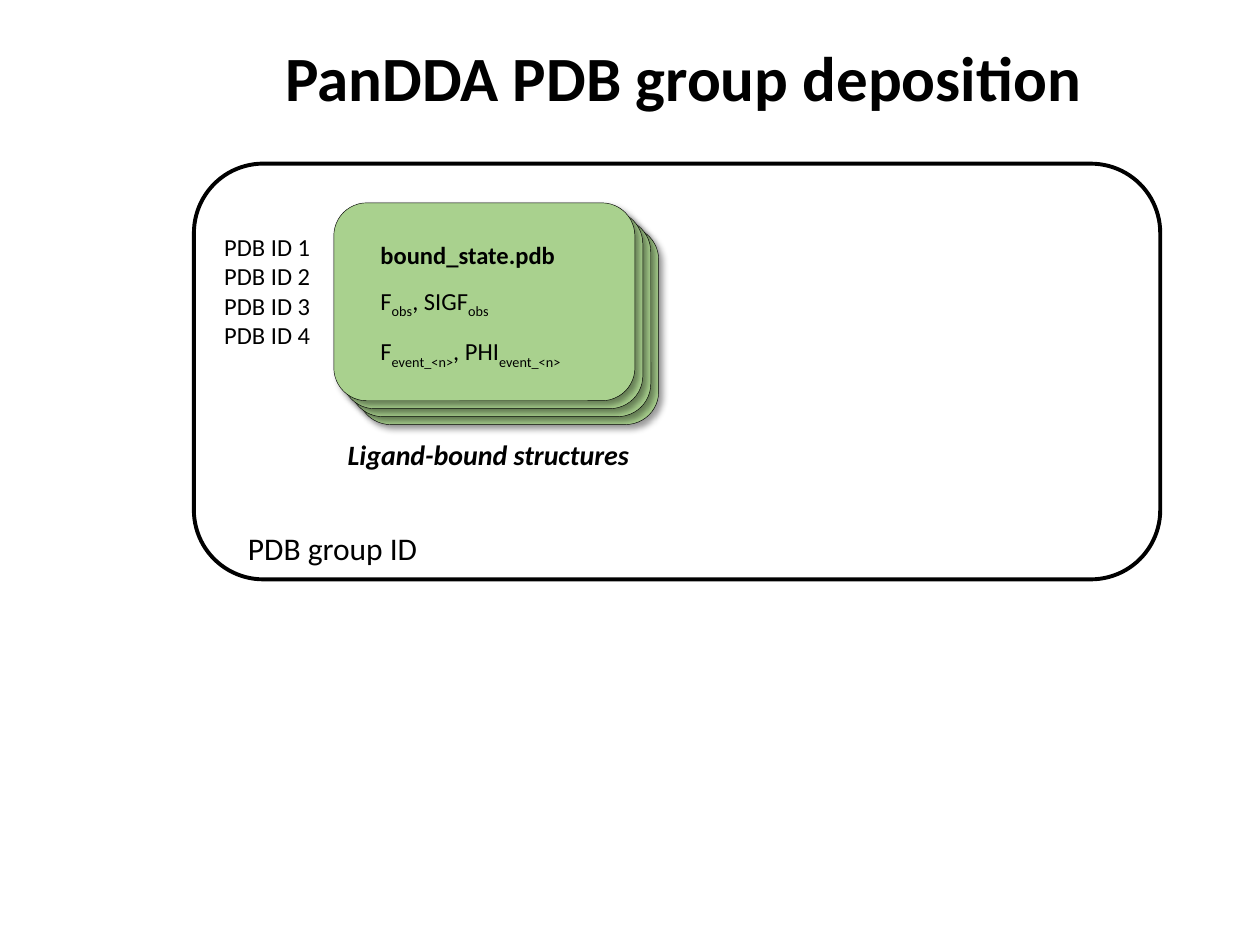
from lxml import etree
from pptx import Presentation
from pptx.dml.color import RGBColor
from pptx.enum.shapes import MSO_SHAPE
from pptx.enum.text import MSO_ANCHOR, PP_ALIGN
from pptx.oxml.ns import qn
from pptx.util import Cm, Pt

ROUNDED = MSO_SHAPE.ROUNDED_RECTANGLE
TOP, MIDDLE = MSO_ANCHOR.TOP, MSO_ANCHOR.MIDDLE
CENTER = PP_ALIGN.CENTER

FONT = "Calibri"
BLACK, GREEN = "000000", "A9D18E"
CARD_COUNT, CARD_STEP = 4, 0.16
CARD_WIDTH, CARD_HEIGHT = 6.07, 3.99

# Each line is a list of (text, is_subscript) pieces
DATA_LINES = [
    [("F", False), ("obs", True), (", SIGF", False), ("obs", True)],
    [("F", False), ("event_<n>", True), (", PHI", False), ("event_<n>", True)],
]


def color(hex_value):
    return RGBColor.from_string(hex_value)


def style(font, size, bold=False, italic=False):
    font.name, font.size = FONT, Pt(size)
    font.bold, font.italic = bold, italic
    font.color.rgb = color(BLACK)


def add_text(shapes, left, top, width, height, text, size, bold=False, italic=False):
    box = shapes.add_textbox(Cm(left), Cm(top), Cm(width), Cm(height))
    frame = box.text_frame
    frame.word_wrap = False
    frame.vertical_anchor = TOP
    frame.text = text
    for para in frame.paragraphs:
        for span in para.runs:
            style(span.font, size, bold, italic)
    return box


def add_rounded(shapes, left, top, width, height, line_width, fill=None):
    box = shapes.add_shape(ROUNDED, Cm(left), Cm(top), Cm(width), Cm(height))
    box.shadow.inherit = False
    if fill:
        box.fill.solid()
        box.fill.fore_color.rgb = color(fill)
    else:
        box.fill.background()
    box.line.color.rgb = color(BLACK)
    box.line.width = Pt(line_width)
    return box


def add_shadow(box):
    effects = box.element.spPr.find(qn("a:effectLst"))
    shadow = etree.SubElement(
        effects, qn("a:outerShdw"), blurRad=str(Pt(4)), dist=str(Pt(3)),
        dir="2700000", algn="tl", rotWithShape="0")
    tint = etree.SubElement(shadow, qn("a:srgbClr"), val=BLACK)
    etree.SubElement(tint, qn("a:alpha"), val="40000")


def place_title(page, left, top, width, height):
    title = page.shapes.title
    title.left, title.top = Cm(left), Cm(top)
    title.width, title.height = Cm(width), Cm(height)
    frame = title.text_frame
    frame.text = "PanDDA PDB group deposition"
    frame.word_wrap = False
    frame.vertical_anchor = MIDDLE
    para = frame.paragraphs[0]
    para.alignment = CENTER
    style(para.runs[0].font, 36, bold=True)


def add_card_stack(page, left, top):
    shapes = page.shapes.add_group_shape().shapes
    # Cards, from the rearmost to the front one
    for depth in reversed(range(CARD_COUNT)):
        shift = depth * CARD_STEP
        card = add_rounded(shapes, left + shift, top + shift,
                           CARD_WIDTH, CARD_HEIGHT, 0.25, GREEN)
        add_shadow(card)

    # File name and data columns on the front card
    box = add_text(shapes, left + 0.69, top + 0.33, 4.52, 2.95,
                   "bound_state.pdb", 14, bold=True)
    for pieces in DATA_LINES:
        para = box.text_frame.add_paragraph()
        for text, is_subscript in pieces:
            span = para.add_run()
            span.text = text
            style(span.font, 14)
            if is_subscript:
                span.font._element.set("baseline", "-25000")
    for para in box.text_frame.paragraphs:
        para.line_spacing = 1.5


def add_group_panel(page, left, top, width, height):
    shapes = page.shapes
    add_rounded(shapes, left, top, width, height, 2.25)
    # Entry identifiers beside the stack
    entry_ids = "\n".join(f"PDB ID {number}" for number in range(1, CARD_COUNT + 1))
    add_text(shapes, left + 0.36, top + 1.25, 2.26, 2.64, entry_ids, 14)
    # Stack with its caption
    add_card_stack(page, left + 2.82, top + 0.79)
    add_text(shapes, left + 2.85, top + 5.39, 6.27, 0.94,
             "Ligand-bound structures", 16, bold=True, italic=True)
    # Label of the whole group
    add_text(shapes, left + 0.84, top + 7.24, 3.96, 1.02, "PDB group ID", 18)


def main():
    deck = Presentation()
    deck.slide_width, deck.slide_height = Cm(25.4), Cm(19.05)
    page = deck.slides.add_slide(deck.slide_layouts[5])
    place_title(page, 5.41, 0.64, 16.74, 1.8)
    add_group_panel(page, 3.91, 3.3, 19.48, 8.38)
    deck.save("out.pptx")


if __name__ == "__main__":
    main()
